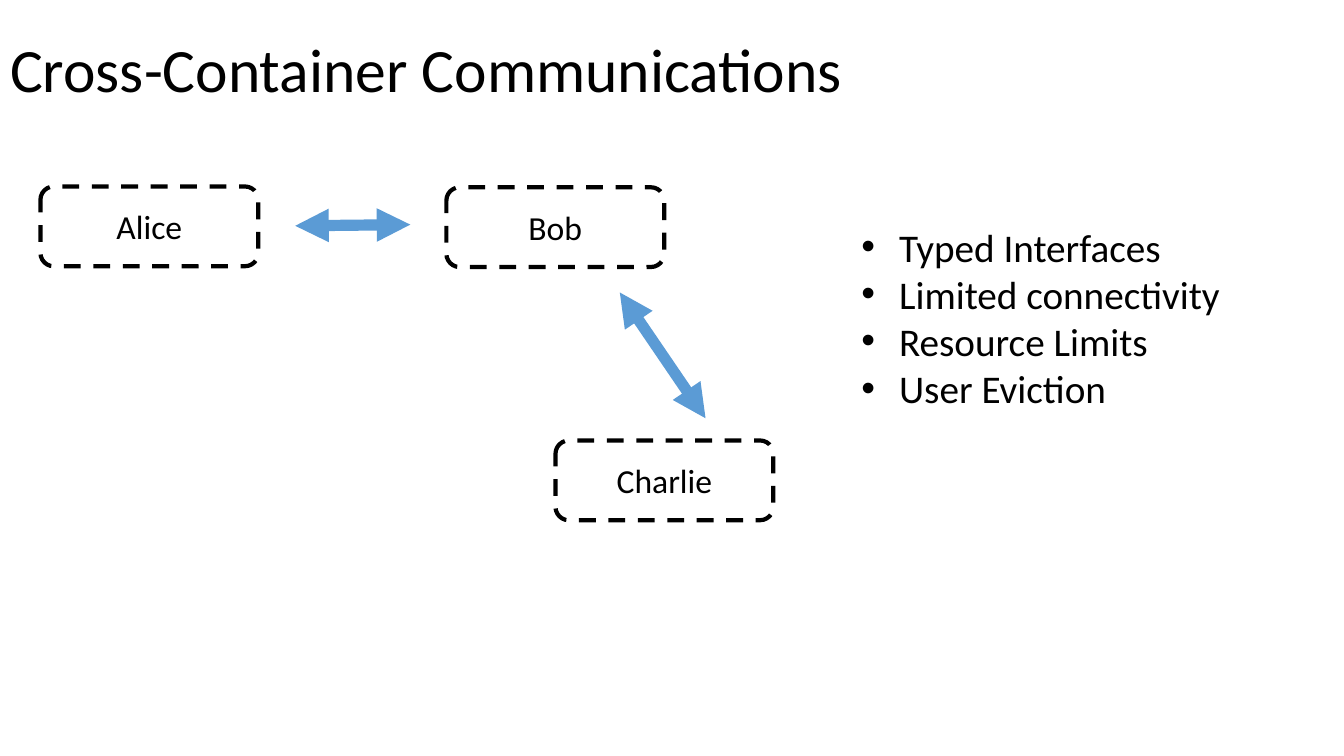
import dataclasses
import pptx
import pptx.dml.color
import pptx.enum.dml
import pptx.enum.shapes
import pptx.enum.text
import pptx.oxml
import pptx.oxml.ns
import pptx.util

Cm = pptx.util.Cm
Pt = pptx.util.Pt
Align = pptx.enum.text.PP_ALIGN
Anchor = pptx.enum.text.MSO_ANCHOR
Fit = pptx.enum.text.MSO_AUTO_SIZE


@dataclasses.dataclass(frozen=True)
class Theme:
    font: str = "Calibri"
    ink: str = "000000"
    paper: str = "FFFFFF"
    arrow: str = "5B9BD5"
    title: int = 44
    list: int = 28
    label: int = 24
    border: int = 3
    shaft: int = 8


theme = Theme()


def color(code):
    return pptx.dml.color.RGBColor.from_string(code)


def element(tag, **attrs):
    node = pptx.oxml.parse_xml(f"<a:{tag} {pptx.oxml.ns.nsdecls('a')}/>")
    for key, value in attrs.items():
        node.set(key, value)
    return node


def write(para, text, size):
    run = para.add_run()
    run.text = text
    run.font.name = theme.font
    run.font.size = Pt(size)
    run.font.color.rgb = color(theme.ink)


def heading(slide, box, text):
    shape = slide.shapes.title
    shape.left, shape.top, shape.width, shape.height = map(Cm, box)
    frame = shape.text_frame
    frame.auto_size = Fit.NONE
    frame.vertical_anchor = Anchor.MIDDLE
    para = frame.paragraphs[0]
    para.alignment = Align.LEFT
    para.line_spacing = 0.9
    write(para, text, theme.title)


def node(slide, box, name):
    kind = pptx.enum.shapes.MSO_SHAPE.ROUNDED_RECTANGLE
    shape = slide.shapes.add_shape(kind, *map(Cm, box))
    shape.shadow.inherit = False
    shape.fill.solid()
    shape.fill.fore_color.rgb = color(theme.paper)
    shape.line.color.rgb = color(theme.ink)
    shape.line.width = Pt(theme.border)
    shape.line.dash_style = pptx.enum.dml.MSO_LINE.DASH
    frame = shape.text_frame
    frame.vertical_anchor = Anchor.MIDDLE
    para = frame.paragraphs[0]
    para.alignment = Align.CENTER
    write(para, name, theme.label)


def arrow(slide, start, end):
    kind = pptx.enum.shapes.MSO_CONNECTOR.STRAIGHT
    link = slide.shapes.add_connector(kind, *map(Cm, start + end))
    link.line.color.rgb = color(theme.arrow)
    link.line.width = Pt(theme.shaft)
    line = link.line._get_or_add_ln()
    line.append(element("headEnd", type="triangle"))
    line.append(element("tailEnd", type="triangle"))
    link._element.spPr.append(element("effectLst"))


def diagram(slide, box):
    left, top, width, height = box
    wide, high = 5.49, 2.01
    places = {
        "Alice": (0, 0),
        "Bob": (10.23, 0.02),
        "Charlie": (width - wide, height - high),
    }
    for name, (x, y) in places.items():
        node(slide, (left + x, top + y, wide, high), name)
    links = [((6.42, 0.99), (9.32, 0.96)), ((14.6, 2.67), (16.76, 5.84))]
    for ends in links:
        arrow(slide, *((left + x, top + y) for x, y in ends))


def bullets(slide, box, items):
    frame = slide.shapes.add_textbox(*map(Cm, box)).text_frame
    frame.word_wrap = False
    frame.auto_size = Fit.SHAPE_TO_FIT_TEXT
    indent = Cm(0.95)
    for index, item in enumerate(items):
        para = frame.add_paragraph() if index else frame.paragraphs[0]
        props = para._p.get_or_add_pPr()
        props.set("marL", str(indent))
        props.set("indent", str(-indent))
        props.append(element("buFont", typeface="Arial"))
        props.append(element("buChar", char="•"))
        write(para, item, theme.list)


def main():
    deck = pptx.Presentation()
    deck.slide_width = Cm(33.87)
    deck.slide_height = Cm(19.05)
    slide = deck.slides.add_slide(deck.slide_layouts[5])
    heading(slide, (0, 0, 29.21, 3.68), "Cross-Container Communications")
    diagram(slide, (1.02, 4.7, 18.47, 8.41))
    bullets(
        slide,
        (21.46, 5.49, 9.65, 5.05),
        ["Typed Interfaces", "Limited connectivity", "Resource Limits", "User Eviction"],
    )
    deck.save("out.pptx")


if __name__ == "__main__":
    main()
